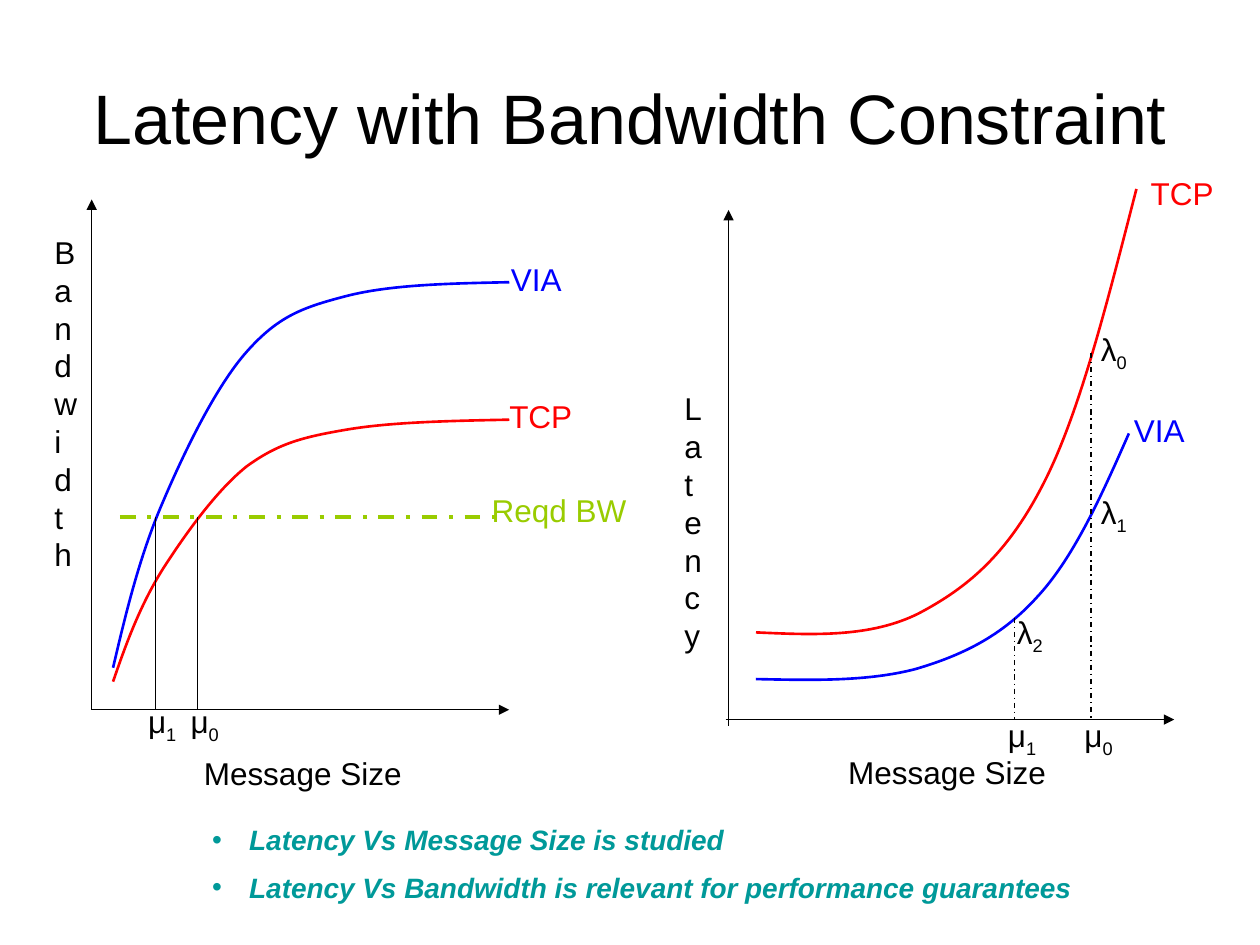
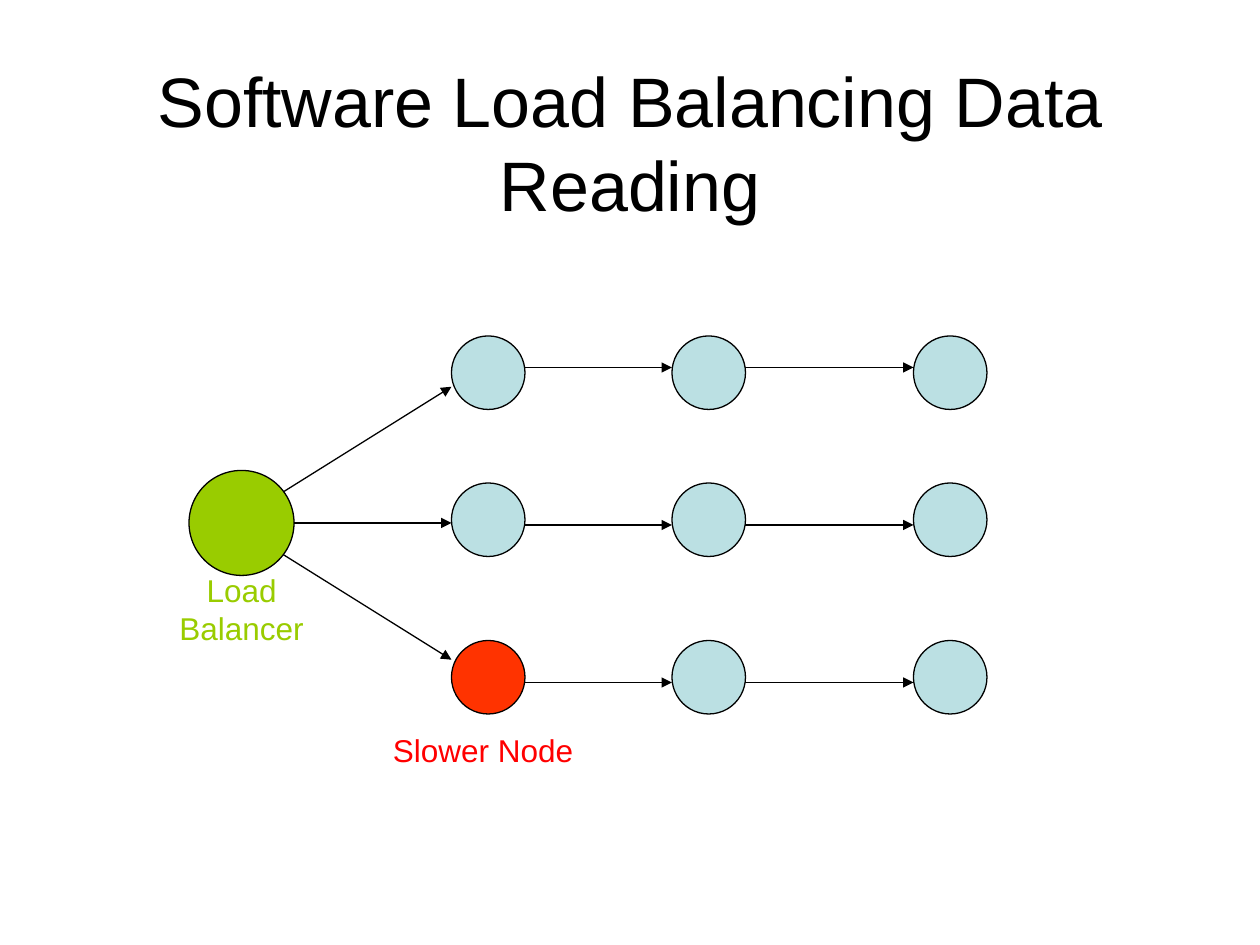
"""Builds two slides: latency under a bandwidth constraint, and software load balancing."""
from lxml.etree import SubElement
from pptx import Presentation
from pptx.dml.color import RGBColor
from pptx.enum.dml import MSO_LINE
from pptx.enum.shapes import MSO_CONNECTOR, MSO_SHAPE
from pptx.enum.text import MSO_ANCHOR, MSO_AUTO_SIZE, PP_ALIGN
from pptx.oxml.ns import qn
from pptx.util import Pt

FONT = "Arial"
COLORS = {
    "ink": "000000", "via": "0000FF", "tcp": "FF0000", "required": "99CC00",
    "note": "009999", "node": "BBE0E3", "slow": "FF3300",
}
LABEL_HEIGHT = 29
BULLET_INDENT = 21.2

CONSTRAINT_TITLE = "Latency with Bandwidth Constraint"
BALANCING_TITLE = "Software Load Balancing Data Reading"
FINDINGS = [
    "Latency Vs Message Size is studied",
    "Latency Vs Bandwidth is relevant for performance guarantees",
]

AXES = [
    ((52.4, 405.6), (52.4, 114)),
    ((52.4, 405.6), (291, 405.6)),
    ((416.3, 414.6), (416.3, 120)),
    ((414.6, 411.2), (671, 411.2)),
]
MARKERS = [
    ((112.9, 295.4), (112.9, 405.6), "ink", 0.75, None),
    ((88.7, 295.4), (88.7, 405.6), "ink", 0.75, None),
    ((68.5, 295.4), (283, 295.4), "required", 2.25, MSO_LINE.DASH_DOT),
    ((623.4, 201.5), (623.4, 411.2), "ink", 0.75, MSO_LINE.DASH_DOT),
    ((579.7, 353), (579.7, 411.2), "ink", 0.75, MSO_LINE.DASH_DOT),
]
BANDWIDTH_X = [64.6, 72, 79.9, 92.9, 105.8, 123.8, 141.1, 159.1, 172.8, 198, 223.2, 257, 291]
CURVES = [
    ("via", list(zip(BANDWIDTH_X, [
        381.6, 349.9, 317.5, 287.3, 257, 220.3, 200.9, 180.7, 175.7, 169.2, 162.7, 162, 161.3]))),
    ("tcp", list(zip(BANDWIDTH_X, [
        389.5, 367.9, 346.3, 325.4, 305.3, 280.1, 266.4, 253.4, 249.8, 245.5, 241.2, 240.5, 239.8]))),
    ("via", [(432, 388.1), (464.4, 388.8), (496.1, 389.5), (523.4, 382.3), (550.1, 374.4),
             (572.4, 363.6), (592.6, 341.3), (613.4, 319), (629.3, 283.7), (645.1, 247.7)]),
    ("tcp", [(432, 361.4), (465.1, 362.9), (497.5, 364.3), (524.9, 350.6), (552.2, 336.2),
             (575.3, 317.5), (596.2, 276.5), (617, 236.2), (632.9, 172.1), (649.4, 108)]),
]
PLOT_LABELS = [
    ("TCP", "", 643, 96, 65, "tcp"),
    ("TCP", "", 282, 223.4, 54, "tcp"),
    ("VIA", "", 282, 145.2, 49, "via"),
    ("VIA", "", 636.5, 231.6, 52, "via"),
    ("Reqd BW", "", 273, 277, 93, "required"),
    ("Message Size", "", 102, 427.3, 142, "ink"),
    ("Message Size", "", 465.2, 427, 152, "ink"),
    ("μ", "0", 101, 397.5, 32, "ink"),
    ("μ", "1", 76.7, 397.5, 32, "ink"),
    ("μ", "0", 610.5, 405.5, 34.5, "ink"),
    ("μ", "1", 566.8, 405.5, 34.5, "ink"),
    ("λ", "0", 619.2, 185, 34.5, "ink"),
    ("λ", "1", 619.2, 278, 34.5, "ink"),
    ("λ", "2", 571.2, 347, 34.5, "ink"),
]
AXIS_NAMES = [("Bandwidth", 24, 129.6, 16.5, 201.5), ("Latency", 384, 219, 17, 158.5)]

NODE_SIZE = 42
NODE_LEFTS = [258, 384, 522]
NODE_TOPS = [192, 276, 366]
FLOW_YS = [210, 300, 390]
SLOW_NODE = (2, 0)
BALANCER = (108, 268.8, 60)
DISPATCHES = [((162, 281), 221), ((168, 298.8), 298.8), ((162, 317), 377)]


def rgb(color):
    return RGBColor.from_string(COLORS[color])


def style_runs(paragraph, size, color, bold=None):
    for run in paragraph.runs:
        run.font.name = FONT
        run.font.size = Pt(size)
        run.font.color.rgb = rgb(color)
        run.font.bold = run.font.italic = bold


def place(part, left, top, width, height):
    part.left, part.top, part.width, part.height = map(Pt, (left, top, width, height))


def add_titled_slide(deck, layout, title, top):
    slide = deck.slides.add_slide(deck.slide_layouts[layout])
    heading = slide.shapes.title
    place(heading, 36, top, 648, 90)
    frame = heading.text_frame
    frame.text = title
    frame.auto_size = MSO_AUTO_SIZE.NONE
    frame.vertical_anchor = MSO_ANCHOR.MIDDLE
    frame.paragraphs[0].alignment = PP_ALIGN.CENTER
    style_runs(frame.paragraphs[0], 40, "ink")
    return slide


def add_label(slide, text, left, top, width, height, color,
              subscript="", align=PP_ALIGN.CENTER):
    frame = slide.shapes.add_textbox(Pt(left), Pt(top), Pt(width), Pt(height)).text_frame
    frame.word_wrap = True
    frame.text = text
    paragraph = frame.paragraphs[0]
    paragraph.alignment = align
    if subscript:
        index = paragraph.add_run()
        index.text = subscript
        index.font._element.set("baseline", "-25000")
    style_runs(paragraph, 18, color)


def add_line(slide, start, end, color="ink", weight=0.75, dash=None, arrow=False):
    line = slide.shapes.add_connector(MSO_CONNECTOR.STRAIGHT, *map(Pt, (*start, *end)))
    line.line.color.rgb = rgb(color)
    line.line.width = Pt(weight)
    if dash:
        line.line.dash_style = dash
    if arrow:
        SubElement(line.line._get_or_add_ln(), qn("a:tailEnd"), type="triangle")
    SubElement(line._element.spPr, qn("a:effectLst"))


def add_curve(slide, color, knots):
    start, *controls = [tuple(map(Pt, knot)) for knot in knots]
    builder = slide.shapes.build_freeform(*start)
    builder.add_line_segments(controls, close=False)
    curve = builder.convert_to_shape()
    segments = list(curve._element.iter(qn("a:lnTo")))
    outline = segments[0].getparent()
    for first in range(0, len(segments), 3):
        bezier = SubElement(outline, qn("a:cubicBezTo"))
        for segment in segments[first:first + 3]:
            bezier.append(segment[0])
            outline.remove(segment)
    curve.shadow.inherit = False
    curve.fill.background()
    curve.line.color.rgb = rgb(color)
    curve.line.width = Pt(1.5)


def add_circle(slide, left, top, size, color):
    circle = slide.shapes.add_shape(MSO_SHAPE.OVAL, *map(Pt, (left, top, size, size)))
    circle.shadow.inherit = False
    circle.fill.solid()
    circle.fill.fore_color.rgb = rgb(color)
    circle.line.color.rgb = rgb("ink")
    circle.line.width = Pt(0.75)


def fill_findings(body):
    place(body, 114, 466.5, 516, 55.5)
    frame = body.text_frame
    frame.auto_size = MSO_AUTO_SIZE.NONE
    frame.text = "\n".join(FINDINGS)
    for order, paragraph in enumerate(frame.paragraphs):
        properties = paragraph._p.get_or_add_pPr()
        properties.set("marL", str(Pt(BULLET_INDENT)))
        properties.set("indent", str(-Pt(BULLET_INDENT)))
        paragraph.space_before = Pt(8 if order else 0)
        style_runs(paragraph, 16, "note", bold=True)


def build_constraint_slide(deck):
    slide = add_titled_slide(deck, 1, CONSTRAINT_TITLE, 21.5)
    for start, end in AXES:
        add_line(slide, start, end, arrow=True)
    for color, knots in CURVES:
        add_curve(slide, color, knots)
    for marker in MARKERS:
        add_line(slide, *marker)
    for text, subscript, left, top, width, color in PLOT_LABELS:
        add_label(slide, text, left, top, width, LABEL_HEIGHT, color, subscript)
    for name, *box in AXIS_NAMES:
        add_label(slide, name, *box, "ink", align=PP_ALIGN.RIGHT)
    fill_findings(slide.placeholders[1])


def build_balancing_slide(deck):
    slide = add_titled_slide(deck, 5, BALANCING_TITLE, 36)
    for row, (top, flow_y) in enumerate(zip(NODE_TOPS, FLOW_YS)):
        for column, left in enumerate(NODE_LEFTS):
            color = "slow" if (row, column) == SLOW_NODE else "node"
            add_circle(slide, left, top, NODE_SIZE, color)
        for left, following in zip(NODE_LEFTS, NODE_LEFTS[1:]):
            add_line(slide, (left + NODE_SIZE, flow_y), (following, flow_y), arrow=True)
    add_circle(slide, *BALANCER, "required")
    for start, end_y in DISPATCHES:
        add_line(slide, start, (NODE_LEFTS[0], end_y), arrow=True)
    add_label(slide, "Load Balancer", 78, 322.8, 120, 50.5, "required")
    add_label(slide, "Slower Node", 204, 414, 144, LABEL_HEIGHT, "tcp")


def main():
    deck = Presentation()
    deck.slide_width, deck.slide_height = Pt(720), Pt(540)
    build_constraint_slide(deck)
    build_balancing_slide(deck)
    deck.save("out.pptx")


if __name__ == "__main__":
    main()
